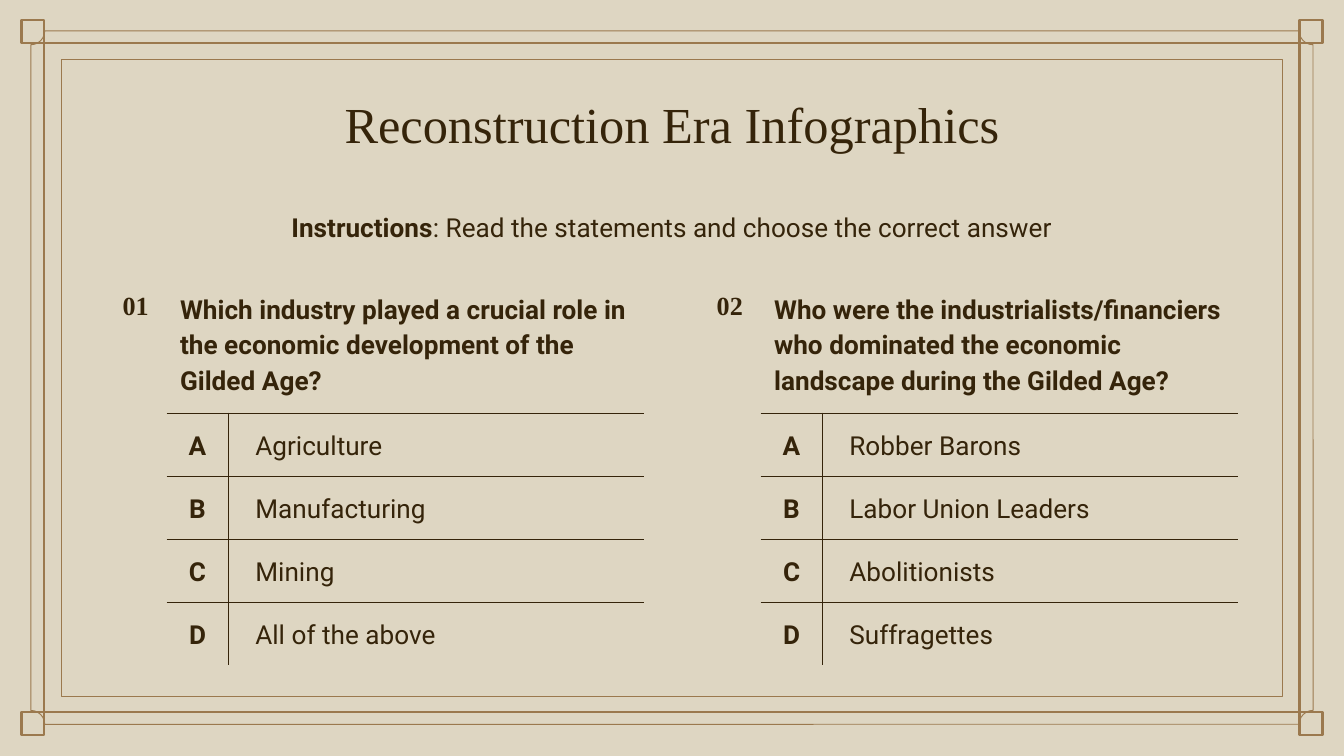
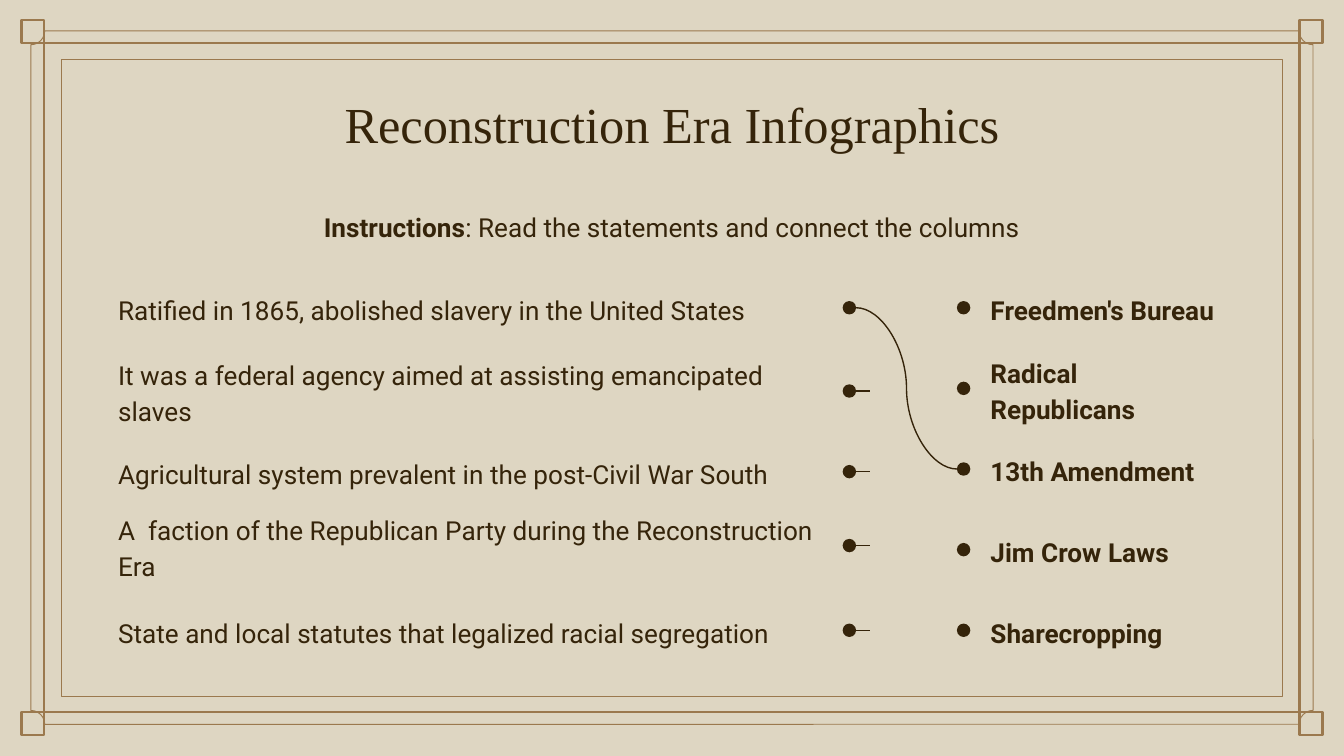
from lxml import etree
from pptx import Presentation
from pptx import util as u
from pptx.dml.color import RGBColor
from pptx.enum import shapes, text
from pptx.oxml.ns import qn

PX = 4572  # EMU in one px, 200 px to the inch
INK = RGBColor(0x35, 0x24, 0x0A)
GOLD = RGBColor(0x9B, 0x79, 0x4E)
PAPER = RGBColor(0xDE, 0xD6, 0xC2)
SERIF, SANS = "Times New Roman", "Roboto"
PLAIN = "{2D5ABB26-0587-4C30-8999-92F81FD0307C}"  # table style with no grid
LEFT, TOP, WIDE = 156, 408, 1688
HEAD = "Reconstruction Era Infographics"
SHAPE, LINK = shapes.MSO_SHAPE, shapes.MSO_CONNECTOR
ALIGN, ANCHOR = text.PP_ALIGN, text.MSO_ANCHOR


def px(*vals):
    return [u.Emu(v * PX) for v in vals]


def write(frame, words, size=14, font=SANS, bold=False, align=ALIGN.LEFT, space=1.15):
    """Fill a frame with a string, or with (string, bold) pairs."""
    para = frame.paragraphs[0]
    para.alignment, para.line_spacing = align, space
    for part, heavy in [(words, bold)] if isinstance(words, str) else words:
        run = para.add_run()
        run.text = part
        run.font.size, run.font.name, run.font.bold = u.Pt(size), font, heavy
        run.font.color.rgb = INK


def inset(frame, side=20, left=None):
    frame.margin_left, frame.margin_right = px(side if left is None else left, side)
    frame.margin_top = frame.margin_bottom = u.Emu(20 * PX)


def edge(cell, sides):
    """Rule the named sides of a cell; call before its fill is set."""
    props = cell._tc.get_or_add_tcPr()
    for side in "LRTB":
        line = etree.SubElement(props, qn("a:ln" + side), w=str(u.Pt(0.75)))
        if side in sides:
            fill = etree.SubElement(line, qn("a:solidFill"))
            etree.SubElement(fill, qn("a:srgbClr"), val=str(INK))
        else:
            etree.SubElement(line, qn("a:noFill"))


class Deck:
    def __init__(self):
        self.prs = Presentation()
        self.prs.slide_width, self.prs.slide_height = px(2000, 1125)
        self.base = self.prs.slide_layouts[5]
        fill = self.base.background.fill
        fill.solid()
        fill.fore_color.rgb = PAPER
        self.slide = None

    def page(self, task):
        first = self.slide is None
        self.slide = self.prs.slides.add_slide(self.base)
        if first:
            self.border()
        title = self.slide.shapes.title
        title.left, title.top, title.width, title.height = px(LEFT, 118, WIDE, 130)
        frame = title.text_frame
        frame.auto_size, frame.word_wrap = text.MSO_AUTO_SIZE.NONE, True
        frame.vertical_anchor = ANCHOR.TOP
        inset(frame)
        write(frame, HEAD, size=27, font=SERIF, align=ALIGN.CENTER, space=1.0)
        self.label(LEFT, 288, WIDE, 80, [("Instructions", True), (": " + task, False)],
                   anchor=ANCHOR.TOP, align=ALIGN.CENTER)

    def border(self):
        """Draw the frame once and hand it to the layout."""
        items = [self.shape(SHAPE.RECTANGLE, x, y, 34, 34, line=1.28)
                 for x in (32, 1934) for y in (30, 1060)]
        items.append(self.shape(SHAPE.RECTANGLE, 66, 64, 1868, 996, line=1.28))
        items.append(self.shape(SHAPE.RECTANGLE, 92, 88, 1816, 948, line=0.5))
        notch = self.shape(SHAPE.PLAQUE, 46, 46, 1908, 1032, line=0.5)
        notch.adjustments[0] = 0.02
        for spot, item in enumerate(items + [notch], 2):
            self.base.shapes._spTree.insert(spot, item._element)

    def shape(self, kind, x, y, w, h, fill=None, line=None):
        item = self.slide.shapes.add_shape(kind, *px(x, y, w, h))
        item.shadow.inherit = False
        if fill is None:
            item.fill.background()
        else:
            item.fill.solid()
            item.fill.fore_color.rgb = fill
        if line is None:
            item.line.fill.background()
        else:
            item.line.color.rgb, item.line.width = GOLD, u.Pt(line)
        return item

    def dot(self, x, y):
        self.shape(SHAPE.OVAL, x, y, 20, 20, fill=INK)

    def label(self, x, y, w, h, words, anchor=ANCHOR.MIDDLE, left=20, **fmt):
        frame = self.slide.shapes.add_textbox(*px(x, y, w, h)).text_frame
        frame.word_wrap, frame.vertical_anchor = True, anchor
        inset(frame, left=left)
        write(frame, words, **fmt)

    def link(self, kind, *ends):
        item = self.slide.shapes.add_connector(kind, *px(*ends))
        item.line.color.rgb, item.line.width = INK, u.Pt(0.75)
        etree.SubElement(item._element.spPr, qn("a:effectLst"))

    def cell(self, grid, row, col, words, sides="", side=20, anchor=ANCHOR.MIDDLE, **fmt):
        cell = grid.cell(row, col)
        edge(cell, sides)
        cell.fill.background()
        cell.vertical_anchor = anchor
        inset(cell, side)
        write(cell.text_frame, words, **fmt)

    def quiz(self, x, num, ask, picks):
        cols, rows = [92, 92, 618], [207] + [93] * len(picks)
        item = self.slide.shapes.add_table(
            len(rows), len(cols), *px(x, TOP, sum(cols), sum(rows)))
        for style in item._element.iter(qn("a:tableStyleId")):
            style.text = PLAIN
        grid = item.table
        grid.first_row = grid.horz_banding = False
        for col, wide in zip(grid.columns, px(*cols)):
            col.width = wide
        for row, tall in zip(grid.rows, px(*rows)):
            row.height = tall
        # Number and question
        grid.cell(0, 0).merge(grid.cell(len(picks), 0))
        grid.cell(0, 1).merge(grid.cell(0, 2))
        self.cell(grid, 0, 0, num, anchor=ANCHOR.TOP, font=SERIF, bold=True,
                  align=ALIGN.CENTER)
        self.cell(grid, 0, 1, ask, "B", bold=True)
        # Choices
        for row, pick in enumerate(picks, 1):
            rule = "T" if row == len(picks) else "TB"
            self.cell(grid, row, 1, "ABCD"[row - 1], "R" + rule, bold=True,
                      align=ALIGN.CENTER)
            self.cell(grid, row, 2, pick, "L" + rule, side=40)


def choose(deck):
    deck.page("Read the statements and choose the correct answer")
    deck.quiz(LEFT, "01", "Which industry played a crucial role in the economic "
              "development of the Gilded Age?",
              ["Agriculture", "Manufacturing", "Mining", "All of the above"])
    deck.quiz(1040, "02", "Who were the industrialists/financiers who dominated the "
              "economic landscape during the Gilded Age?",
              ["Robber Barons", "Labor Union Leaders", "Abolitionists", "Suffragettes"])


def match(deck):
    deck.page("Read the statements and connect the columns")
    facts = [
        (TOP, "Ratified in 1865, abolished slavery in the United States"),
        (532, "It was a federal agency aimed at assisting emancipated slaves"),
        (652, "Agricultural system prevalent in the post-Civil War South"),
        (762, "A  faction of the Republican Party during the Reconstruction Era"),
        (888, "State and local statutes that legalized racial segregation"),
    ]
    names = ["Freedmen's Bureau", "Radical Republicans", "13th Amendment",
             "Jim Crow Laws", "Sharecropping"]
    # Statements, with a stub after each open one
    for y, fact in facts:
        deck.label(LEFT, y, 1098, 100, fact)
        deck.dot(1254, y + 40)
        if y > TOP:
            deck.link(LINK.STRAIGHT, 1274, y + 50, 1295, y + 50)
    # Names
    for i, name in enumerate(names):
        y = TOP + 120 * i
        deck.label(1444, y, 400, 100, name, left=30, bold=True)
        deck.dot(1424, y + 40)
    # Solved pair
    deck.link(LINK.CURVE, 1274, TOP + 50, 1424, TOP + 290)


def main():
    deck = Deck()
    choose(deck)
    match(deck)
    deck.prs.save("out.pptx")


if __name__ == "__main__":
    main()
